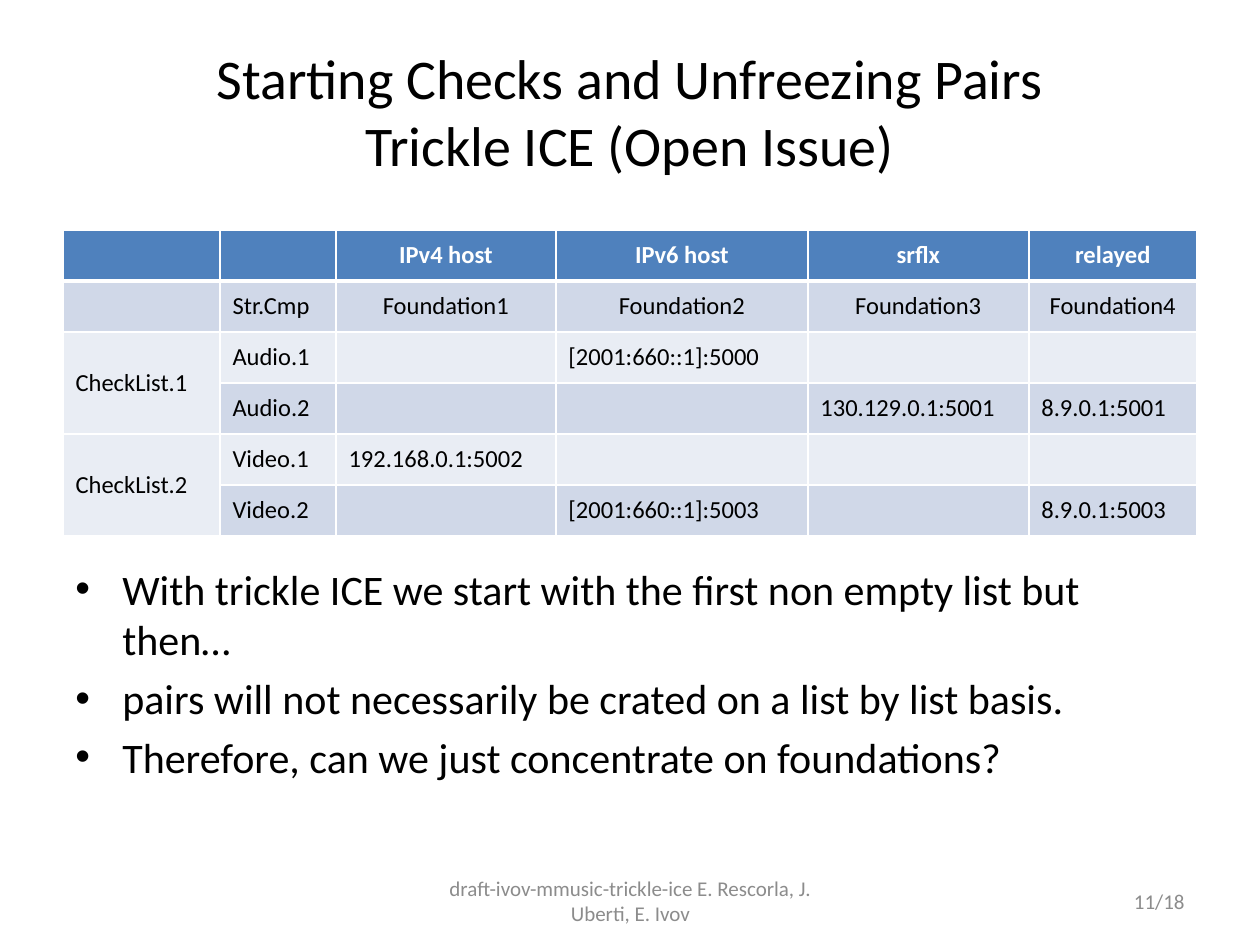
from dataclasses import dataclass

from lxml.etree import SubElement
from pptx import Presentation
from pptx.dml.color import RGBColor
from pptx.enum.text import MSO_ANCHOR as Anchor, PP_ALIGN as Align
from pptx.oxml.ns import qn
from pptx.util import Emu, Pt

EMU_PER_PX = 914400 // 126
FONT = "Calibri"
BLACK = RGBColor(0x00, 0x00, 0x00)
WHITE = RGBColor(0xFF, 0xFF, 0xFF)
GRAY = RGBColor(0x8C, 0x8C, 0x8C)
HEADER_BLUE = RGBColor(0x4F, 0x81, 0xBD)
BAND_DARK = RGBColor(0xD0, 0xD8, 0xE8)
BAND_LIGHT = RGBColor(0xE9, 0xED, 0xF4)


@dataclass(frozen=True)
class TextBlock:
    left: int
    top: int
    width: int
    height: int
    paragraphs: tuple[str, ...]
    size: int
    color: RGBColor = BLACK
    align: Align = Align.LEFT
    anchor: Anchor = Anchor.MIDDLE
    bulleted: bool = False


TEXT_BLOCKS = (
    TextBlock(63, 32, 1134, 157,
              ("Starting Checks and Unfreezing Pairs\nTrickle ICE (Open Issue)",),
              32, align=Align.CENTER),
    TextBlock(63, 557, 1134, 246,
              ("With trickle ICE we start with the first non empty list but then…",
               "pairs will not necessarily be crated on a list by list basis.",
               "Therefore, can we just concentrate on foundations?"),
              24, anchor=Anchor.TOP, bulleted=True),
    TextBlock(431, 876, 399, 50,
              ("draft-ivov-mmusic-trickle-ice E. Rescorla, J. Uberti, E. Ivov",),
              12, GRAY, Align.CENTER),
    TextBlock(903, 876, 294, 50, ("11/18",), 12, GRAY, Align.RIGHT),
)

TABLE_LEFT, TABLE_TOP, ROW_HEIGHT = 63, 230, 51
COLUMN_WIDTHS = (157, 116, 220, 252, 221, 168)
ROWS = (
    ("", "", "IPv4 host", "IPv6 host", "srflx", "relayed"),
    ("", "Str.Cmp", "Foundation1", "Foundation2", "Foundation3", "Foundation4"),
    ("CheckList.1", "Audio.1", "", "[2001:660::1]:5000", "", ""),
    ("", "Audio.2", "", "", "130.129.0.1:5001", "8.9.0.1:5001"),
    ("CheckList.2", "Video.1", "192.168.0.1:5002", "", "", ""),
    ("", "Video.2", "", "[2001:660::1]:5003", "", "8.9.0.1:5003"),
)
MERGED_ROWS = ((2, 3), (4, 5))


def px(length: int) -> Emu:
    return Emu(length * EMU_PER_PX)


def add_run(paragraph, text: str, size: int, color: RGBColor, bold: bool = False) -> None:
    run = paragraph.add_run()
    run.text = text
    run.font.name = FONT
    run.font.size = Pt(size)
    run.font.bold = bold
    run.font.color.rgb = color


def add_bullet(paragraph) -> None:
    properties = paragraph._p.get_or_add_pPr()
    properties.set("marL", str(px(47)))
    properties.set("indent", str(-px(47)))
    paragraph.space_before = Pt(4.8)
    SubElement(properties, qn("a:buFont"), typeface="Arial")
    SubElement(properties, qn("a:buChar"), char="•")


def add_text_block(slide, block: TextBlock) -> None:
    shape = slide.shapes.add_textbox(
        px(block.left), px(block.top), px(block.width), px(block.height))
    frame = shape.text_frame
    frame.word_wrap = True
    frame.vertical_anchor = block.anchor
    for index, text in enumerate(block.paragraphs):
        paragraph = frame.add_paragraph() if index else frame.paragraphs[0]
        paragraph.alignment = block.align
        if block.bulleted:
            add_bullet(paragraph)
        for line_index, line in enumerate(text.split("\n")):
            if line_index:
                paragraph.add_line_break()
            add_run(paragraph, line, block.size, block.color)


def set_borders(cell, bottom_width: int) -> None:
    properties = cell._tc.get_or_add_tcPr()
    for side, width in (("L", 1), ("R", 1), ("T", 1), ("B", bottom_width)):
        line = SubElement(properties, qn(f"a:ln{side}"), w=str(Pt(width)))
        fill = SubElement(line, qn("a:solidFill"))
        SubElement(fill, qn("a:srgbClr"), val=str(WHITE))


def fill_cell(cell, text: str, row: int, column: int) -> None:
    is_header = row == 0
    cell.vertical_anchor = Anchor.MIDDLE
    # Borders come before the fill in the cell properties
    set_borders(cell, 3 if is_header else 1)
    cell.fill.solid()
    if is_header:
        cell.fill.fore_color.rgb = HEADER_BLUE
    else:
        cell.fill.fore_color.rgb = BAND_DARK if row % 2 else BAND_LIGHT
    if text:
        paragraph = cell.text_frame.paragraphs[0]
        centered = row < 2 and column > 1
        paragraph.alignment = Align.CENTER if centered else Align.LEFT
        add_run(paragraph, text, 14, WHITE if is_header else BLACK, is_header)


def add_check_table(slide) -> None:
    table = slide.shapes.add_table(
        len(ROWS), len(COLUMN_WIDTHS), px(TABLE_LEFT), px(TABLE_TOP),
        px(sum(COLUMN_WIDTHS)), px(ROW_HEIGHT * len(ROWS))).table
    for column, width in zip(table.columns, COLUMN_WIDTHS):
        column.width = px(width)
    for row_index, texts in enumerate(ROWS):
        table.rows[row_index].height = px(ROW_HEIGHT)
        for column_index, text in enumerate(texts):
            fill_cell(table.cell(row_index, column_index), text, row_index, column_index)
    for first, last in MERGED_ROWS:
        table.cell(first, 0).merge(table.cell(last, 0))


def main() -> None:
    presentation = Presentation()
    presentation.slide_width = px(1260)
    presentation.slide_height = px(945)
    slide = presentation.slides.add_slide(presentation.slide_layouts[6])

    # Title, bullets and footer
    for block in TEXT_BLOCKS:
        add_text_block(slide, block)

    # Candidate pairs by checklist and foundation
    add_check_table(slide)

    presentation.save("out.pptx")


if __name__ == "__main__":
    main()
